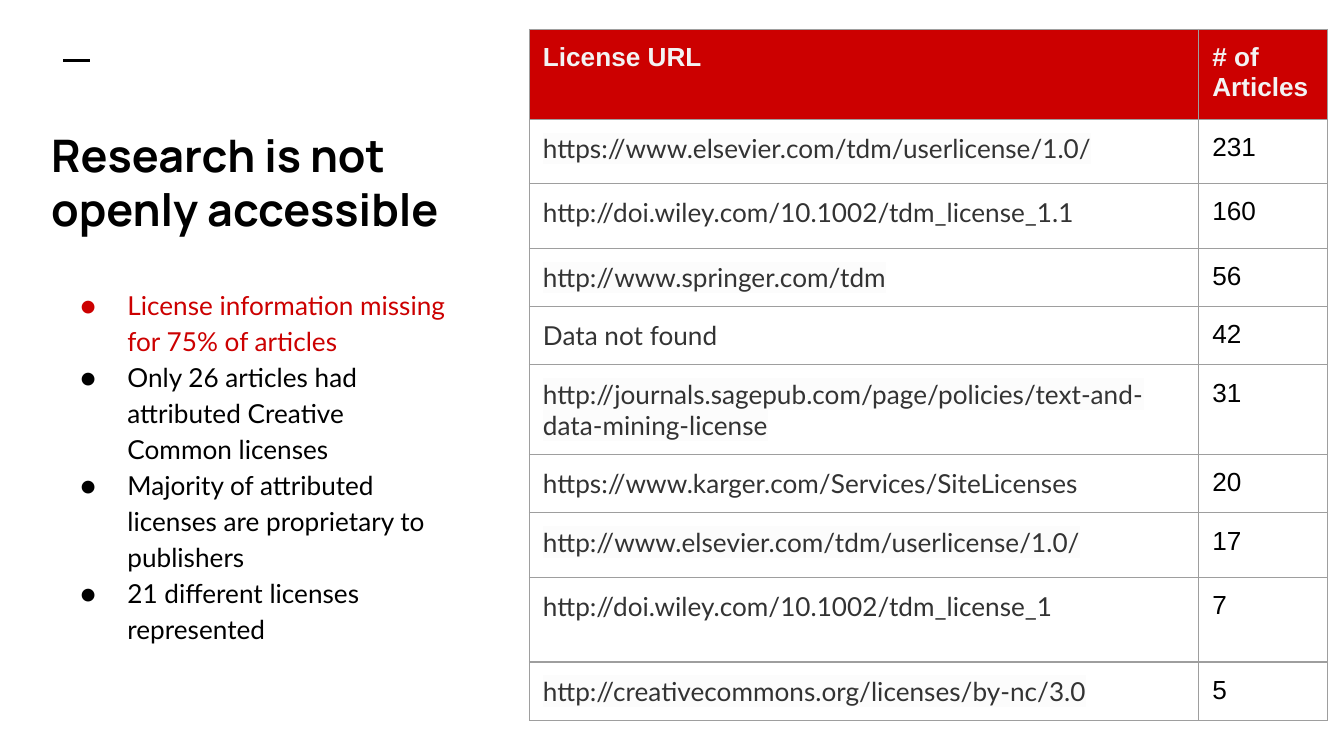
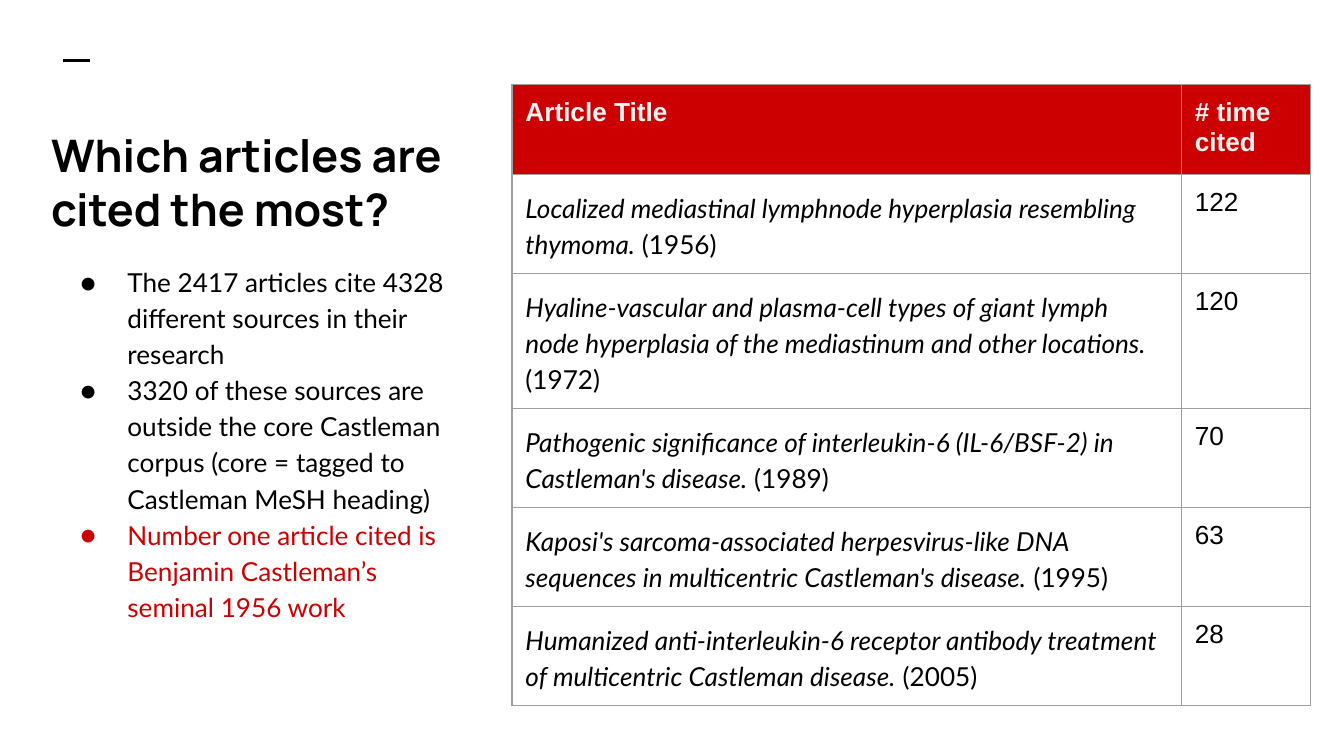
from dataclasses import dataclass

from lxml import etree
from pptx import Presentation
from pptx import util as u
from pptx.dml.color import RGBColor
from pptx.enum import shapes, text
from pptx.oxml.ns import qn


@dataclass(frozen=True)
class Theme:
    black: str = "000000"
    red: str = "CC0000"
    header_text: str = "F3F3F3"
    url_text: str = "333333"
    border: str = "9E9E9E"
    highlights: tuple = ("FCFCFC", "FFFFFF")
    title_font: str = "Manrope"
    body_font: str = "Lato"
    table_font: str = "Arial"
    title_size: int = 24
    body_size: int = 14
    border_width: float = 0.75
    inset: float = 0.1
    body_spacing: float = 1.15


THEME = Theme()
COLUMN_WIDTHS = (4.98, 0.96)

LICENSE_POINTS = [
    ("License information missing for 75% of articles", THEME.red),
    ("Only 26 articles had attributed Creative Common licenses", THEME.black),
    ("Majority of attributed licenses are proprietary to publishers", THEME.black),
    ("21 different licenses represented", THEME.black),
]
LICENSES = [
    ("https://www.elsevier.com/tdm/userlicense/1.0/", "231"),
    ("http://doi.wiley.com/10.1002/tdm_license_1.1", "160"),
    ("http://www.springer.com/tdm", "56"),
    ("Data not found", "42"),
    ("http://journals.sagepub.com/page/policies/text-and-data-mining-license", "31"),
    ("https://www.karger.com/Services/SiteLicenses", "20"),
    ("http://www.elsevier.com/tdm/userlicense/1.0/", "17"),
    ("http://doi.wiley.com/10.1002/tdm_license_1", "7"),
    ("http://creativecommons.org/licenses/by-nc/3.0", "5"),
]
LICENSE_ROW_HEIGHTS = (0.64, 0.48, 0.48, 0.42, 0.42, 0.48, 0.42, 0.48, 0.63, 0.42)

CITATION_POINTS = [
    ("The 2417 articles cite 4328 different sources in their research", THEME.black),
    ("3320 of these sources are outside the core Castleman corpus "
     "(core = tagged to Castleman MeSH heading)", THEME.black),
    ("Number one article cited is Benjamin Castleman’s seminal 1956 work", THEME.red),
]
CITED_ARTICLES = [
    ("Localized mediastinal lymphnode hyperplasia resembling thymoma.", " (1956)", "122"),
    ("Hyaline-vascular and plasma-cell types of giant lymph node hyperplasia "
     "of the mediastinum and other locations. ", "(1972)", "120"),
    ("Pathogenic significance of interleukin-6 (IL-6/BSF-2) in Castleman's disease.",
     " (1989)", "70"),
    ("Kaposi's sarcoma-associated herpesvirus-like DNA sequences in multicentric "
     "Castleman's disease.", " (1995)", "63"),
    ("Humanized anti-interleukin-6 receptor antibody treatment of multicentric "
     "Castleman disease.", " (2005)", "28"),
]
CITATION_ROW_HEIGHTS = (0.64, 0.48, 0.48, 0.42, 0.42, 0.48)


def style_font(font, name, color, size=THEME.body_size, bold=False, italic=False):
    font.name = name
    font.size = u.Pt(size)
    font.bold = bold
    font.italic = italic
    font.color.rgb = RGBColor.from_string(color)


def add_span(para, words, name, color, **style):
    para.font.size = u.Pt(THEME.body_size)
    span = para.add_run()
    span.text = words
    style_font(span.font, name, color, **style)
    return span


def set_insets(holder):
    """Give a text frame or a table cell the same margin on every side."""
    holder.margin_left = holder.margin_right = u.Inches(THEME.inset)
    holder.margin_top = holder.margin_bottom = u.Inches(THEME.inset)


def append_color(parent, tag, color):
    holder = etree.SubElement(parent, qn(tag))
    etree.SubElement(holder, qn("a:srgbClr"), val=color)
    return holder


def add_bullet(para, color):
    properties = para._p.get_or_add_pPr()
    properties.set("marL", str(u.Inches(0.5)))
    properties.set("indent", str(u.Inches(-0.35)))
    append_color(properties, "a:buClr", color)
    etree.SubElement(properties, qn("a:buSzPts"), val=str(THEME.body_size * 100))
    etree.SubElement(properties, qn("a:buFont"), typeface=THEME.body_font)
    etree.SubElement(properties, qn("a:buChar"), char="●")


def highlight(span, color):
    properties = span._r.get_or_add_rPr()
    mark = append_color(properties, "a:highlight", color)
    properties.find(qn("a:solidFill")).addnext(mark)


def add_page(deck, title):
    """Add a slide with the short rule at top left and the heading below it."""
    page = deck.slides.add_slide(deck.slide_layouts[5])
    rule = page.shapes.add_connector(
        shapes.MSO_CONNECTOR.STRAIGHT,
        u.Inches(0.47), u.Inches(0.45), u.Inches(0.67), u.Inches(0.45))
    rule.line.color.rgb = RGBColor.from_string(THEME.black)
    rule.line.width = u.Pt(1.5)
    etree.SubElement(rule._element.spPr, qn("a:effectLst"))

    heading = page.shapes.title
    heading.left, heading.top = u.Inches(0.28), u.Inches(1.02)
    heading.width, heading.height = u.Inches(3.53), u.Inches(0.83)
    frame = heading.text_frame
    frame.text = title
    frame.word_wrap = True
    frame.auto_size = text.MSO_AUTO_SIZE.NONE
    frame.vertical_anchor = text.MSO_ANCHOR.BOTTOM
    set_insets(frame)
    para = frame.paragraphs[0]
    para.alignment = text.PP_ALIGN.LEFT
    style_font(para.runs[0].font, THEME.title_font, THEME.black, THEME.title_size, bold=True)
    return page


def add_points(page, points, top, height):
    box = page.shapes.add_textbox(
        u.Inches(0.35), u.Inches(top), u.Inches(3.07), u.Inches(height))
    frame = box.text_frame
    frame.word_wrap = True
    set_insets(frame)
    for index, (words, color) in enumerate(points):
        para = frame.add_paragraph() if index else frame.paragraphs[0]
        para.line_spacing = THEME.body_spacing
        add_bullet(para, color)
        add_span(para, words, THEME.body_font, color)


def format_cell(cell, fill=None):
    set_insets(cell)
    properties = cell._tc.get_or_add_tcPr()
    for side in ("a:lnL", "a:lnR", "a:lnT", "a:lnB"):
        line = etree.SubElement(properties, qn(side), w=str(u.Pt(THEME.border_width)))
        append_color(line, "a:solidFill", THEME.border)
    if fill:
        cell.fill.solid()
        cell.fill.fore_color.rgb = RGBColor.from_string(fill)
    else:
        cell.fill.background()


def add_count_table(page, left, top, height, headers, row_heights, counts):
    """Add a two-column table with its headers and counts; the first column stays open."""
    frame = page.shapes.add_table(
        len(row_heights), len(COLUMN_WIDTHS), u.Inches(left), u.Inches(top),
        u.Inches(sum(COLUMN_WIDTHS)), u.Inches(height))
    table = frame.table
    table.first_row = table.horz_banding = False
    for column, width in zip(table.columns, COLUMN_WIDTHS):
        column.width = u.Inches(width)
    for index, row_height in enumerate(row_heights):
        table.rows[index].height = u.Inches(row_height)
        for cell in table.rows[index].cells:
            format_cell(cell, None if index else THEME.red)
    frame.height = u.Inches(height)

    for column, words in enumerate(headers):
        add_span(table.cell(0, column).text_frame.paragraphs[0], words,
                 THEME.table_font, THEME.header_text, bold=True)
    for row, count in enumerate(counts, start=1):
        add_span(table.cell(row, 1).text_frame.paragraphs[0], count,
                 THEME.table_font, THEME.black)
    return table


def add_license_page(deck):
    page = add_page(deck, "Research is not openly accessible")
    add_points(page, LICENSE_POINTS, top=2.02, height=3.07)
    table = add_count_table(
        page, 3.94, 0.22, 5.14, ("License URL", "# of Articles"),
        LICENSE_ROW_HEIGHTS, [count for _, count in LICENSES])
    for row, (url, _) in enumerate(LICENSES, start=1):
        para = table.cell(row, 0).text_frame.paragraphs[0]
        span = add_span(para, url, THEME.body_font, THEME.url_text)
        highlight(span, THEME.highlights[(row - 1) % 2])


def add_citation_page(deck):
    page = add_page(deck, "Which articles are cited the most?")
    add_points(page, CITATION_POINTS, top=1.85, height=3.24)
    table = add_count_table(
        page, 3.81, 0.63, 4.22, ("Article Title", "# time cited"),
        CITATION_ROW_HEIGHTS, [count for _, _, count in CITED_ARTICLES])
    for row, (article, year, _) in enumerate(CITED_ARTICLES, start=1):
        para = table.cell(row, 0).text_frame.paragraphs[0]
        para.line_spacing = THEME.body_spacing
        add_span(para, article, THEME.body_font, THEME.black, italic=True)
        add_span(para, year, THEME.body_font, THEME.black)


def main():
    deck = Presentation()
    deck.slide_width = u.Inches(10)
    deck.slide_height = deck.slide_width * 9 // 16
    add_license_page(deck)
    add_citation_page(deck)
    deck.save("out.pptx")


if __name__ == "__main__":
    main()
